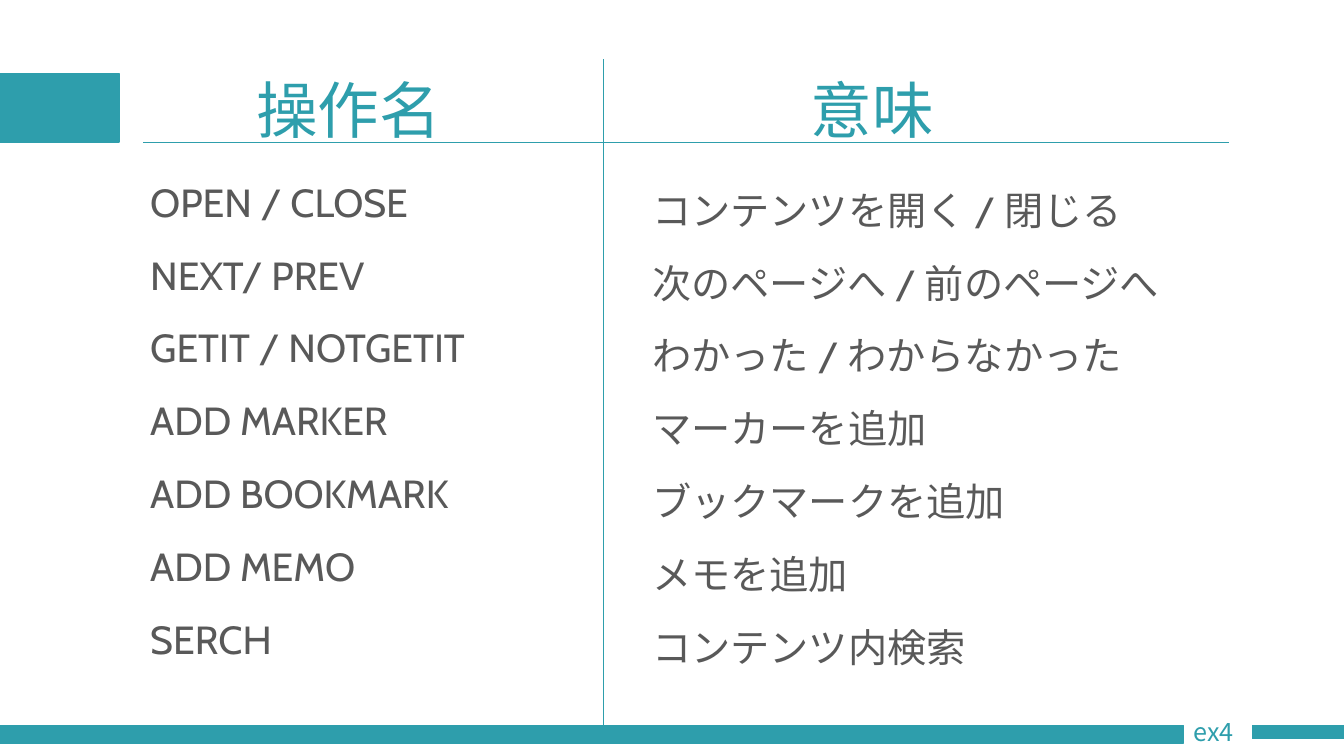
import lxml.etree
import pptx
import pptx.dml.color
import pptx.enum.shapes
import pptx.enum.text
import pptx.oxml.ns
import pptx.util
from dataclasses import dataclass

Inches = pptx.util.Inches
Pt = pptx.util.Pt
qn = pptx.oxml.ns.qn


@dataclass(frozen=True)
class Theme:
    teal = pptx.dml.color.RGBColor.from_string("2E9EAC")
    gray = pptx.dml.color.RGBColor.from_string("595959")
    heading_font = "Noto Sans CJK JP"
    body_font = "Cabin"
    heading_size = Pt(44)
    body_size = Pt(28)
    label_size = Pt(18)


theme = Theme()


def add_run(paragraph, text, font_name, size, color):
    run = paragraph.add_run()
    run.text = text
    run.font.name = font_name
    run.font.size = size
    run.font.color.rgb = color
    east_asian = lxml.etree.SubElement(run.font._element, qn("a:ea"))
    east_asian.set("typeface", font_name)


def place(shape, left, top, width, height):
    shape.left, shape.top = Inches(left), Inches(top)
    shape.width, shape.height = Inches(width), Inches(height)


presentation = pptx.Presentation()
presentation.slide_width = Inches(13.33)
presentation.slide_height = Inches(7.5)
slide = presentation.slides.add_slide(presentation.slide_layouts[3])
title, operations, meanings = slide.placeholders

place(title, 1.22, 0.4, 11.5, 1.45)
title_frame = title.text_frame
title_frame.auto_size = pptx.enum.text.MSO_AUTO_SIZE.NONE
title_frame.vertical_anchor = pptx.enum.text.MSO_ANCHOR.MIDDLE
heading = title_frame.paragraphs[0]
heading.alignment = pptx.enum.text.PP_ALIGN.LEFT
heading.line_spacing = 0.9
tab_list = lxml.etree.SubElement(heading._p.get_or_add_pPr(), qn("a:tabLst"))
for position in (1.22, 6.72):
    tab = lxml.etree.SubElement(tab_list, qn("a:tab"))
    tab.set("pos", str(Inches(position)))
    tab.set("algn", "l")
add_run(heading, "\t操作名\t意味", theme.heading_font, theme.heading_size, theme.teal)

for left, top, width, height in (
    (-0.04, 0.73, 1.22, 0.68),
    (12.42, 7.2, 0.92, 0.13),
    (0, 7.2, 11.74, 0.17),
):
    bar = slide.shapes.add_shape(
        pptx.enum.shapes.MSO_SHAPE.RECTANGLE,
        Inches(left), Inches(top), Inches(width), Inches(height))
    bar.shadow.inherit = False
    bar.fill.solid()
    bar.fill.fore_color.rgb = theme.teal
    bar.line.color.rgb = theme.teal
    bar.line.width = Pt(1)

for start_x, start_y, end_x, end_y in (
    (1.42, 1.41, 12.19, 1.41),
    (5.98, 0.59, 5.98, 7.2),
):
    divider = slide.shapes.add_connector(
        pptx.enum.shapes.MSO_CONNECTOR.STRAIGHT,
        Inches(start_x), Inches(start_y), Inches(end_x), Inches(end_y))
    divider.line.color.rgb = theme.teal
    divider.line.width = Pt(0.5)
    lxml.etree.SubElement(divider._element.spPr, qn("a:effectLst"))

rows = (
    ("OPEN / CLOSE", "コンテンツを開く / 閉じる"),
    ("NEXT/ PREV", "次のページへ / 前のページへ"),
    ("GETIT / NOTGETIT", "わかった / わからなかった"),
    ("ADD MARKER", "マーカーを追加"),
    ("ADD BOOKMARK", "ブックマークを追加"),
    ("ADD MEMO", "メモを追加"),
    ("SERCH", "コンテンツ内検索"),
)
columns = (
    (operations, (0.92, 1.6, 4.84, 5.5), 0.47),
    (meanings, (5.98, 1.68, 6.77, 5.41), 0.39),
)
for (column, box, indent), entries in zip(columns, zip(*rows)):
    place(column, *box)
    frame = column.text_frame
    frame.auto_size = pptx.enum.text.MSO_AUTO_SIZE.NONE
    frame.vertical_anchor = pptx.enum.text.MSO_ANCHOR.TOP
    for index, entry in enumerate(entries):
        paragraph = frame.add_paragraph() if index else frame.paragraphs[0]
        paragraph.line_spacing = 1.25
        paragraph.space_before = Pt(10 if index else 0)
        properties = paragraph._p.get_or_add_pPr()
        properties.set("marL", str(Inches(indent)))
        properties.set("indent", "0")
        lxml.etree.SubElement(properties, qn("a:buNone"))
        add_run(paragraph, entry, theme.body_font, theme.body_size, theme.gray)

label = slide.shapes.add_textbox(Inches(11.74), Inches(7.06), Inches(0.68), Inches(0.4))
label.text_frame.word_wrap = True
add_run(label.text_frame.paragraphs[0], "ex4", theme.heading_font, theme.label_size, theme.teal)

presentation.save("out.pptx")
